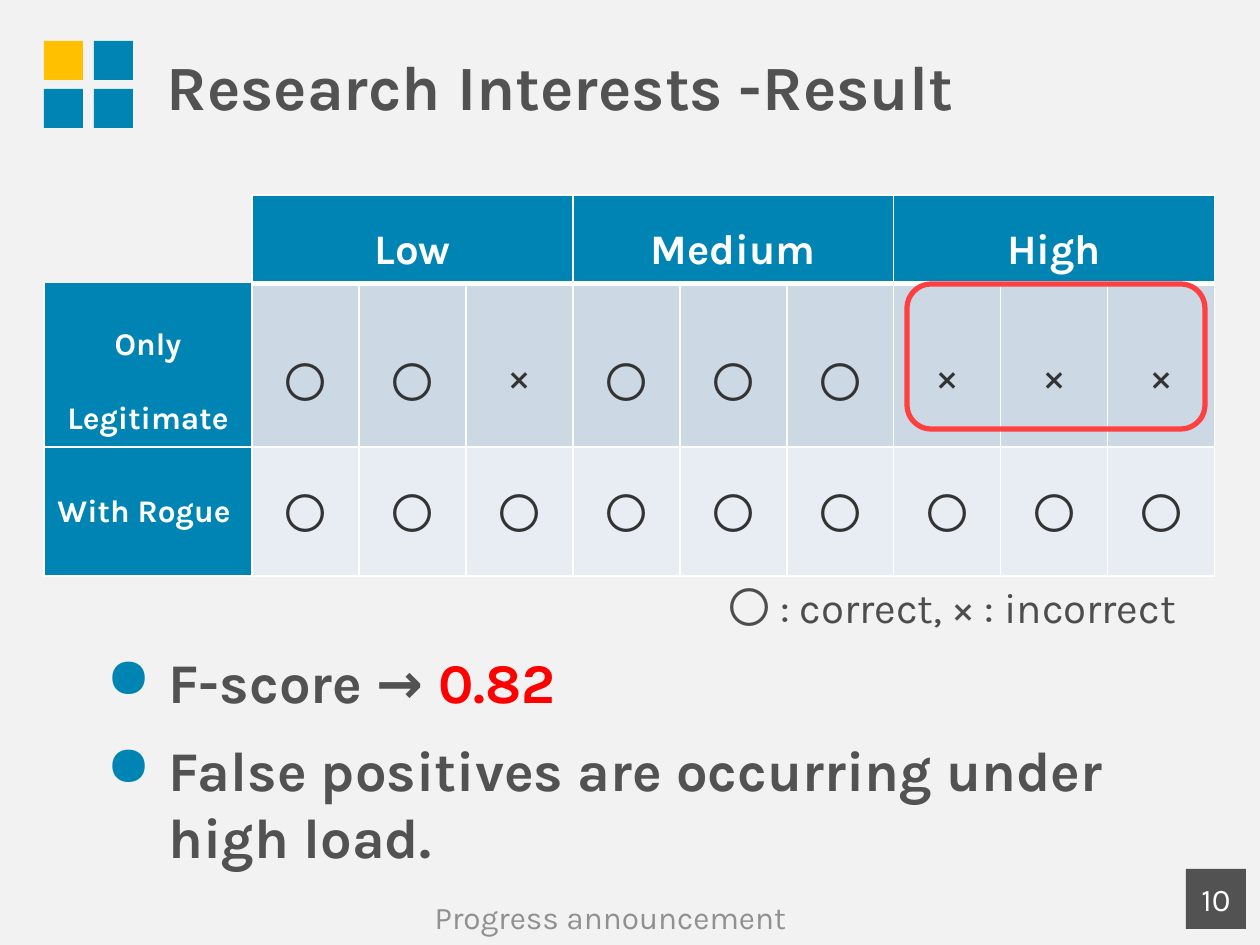
from lxml import etree
from pptx import Presentation
from pptx.dml.color import RGBColor
from pptx.enum.shapes import MSO_SHAPE as SHAPE
from pptx.enum.text import MSO_ANCHOR as ANCHOR, PP_ALIGN as ALIGN
from pptx.oxml.ns import qn
from pptx.util import Emu, Pt

BLUE, AMBER, GREY, WHITE = "0084B4", "FFC000", "525252", "FFFFFF"
FONT = "Karla"
LOADS = ["Low", "Medium", "High"]
RESULTS = [("Only Legitimate", "〇〇×〇〇〇×××"), ("With Rogue ", "〇〇〇〇〇〇〇〇〇")]


def px(n):
    return Emu(round(n * 914400 / 126))


def rgb(color):
    return RGBColor.from_string(color)


def add_run(p, text, size, color, bold=False):
    r = p.add_run()
    r.text = text
    for name, value in {"name": FONT, "size": Pt(size), "bold": bold}.items():
        setattr(r.font, name, value)
    r.font.color.rgb = rgb(color)


def add_box(slide, box, fill=None, line=None, shape=SHAPE.RECTANGLE):
    sp = slide.shapes.add_shape(shape, *map(px, box))
    sp.shadow.inherit = False
    if fill:
        sp.fill.solid()
        sp.fill.fore_color.rgb = rgb(fill)
    else:
        sp.fill.background()
    if line:
        sp.line.color.rgb = rgb(line)
        sp.line.width = Pt(3)
    else:
        sp.line.fill.background()
    return sp


def add_text(slide, box, anchor=ANCHOR.TOP):
    tf = slide.shapes.add_textbox(*map(px, box)).text_frame
    tf.word_wrap = True
    tf.vertical_anchor = anchor
    return tf


def add_squares(slide, left, top):
    for i, color in enumerate([AMBER, BLUE, BLUE, BLUE]):
        row, col = divmod(i, 2)
        add_box(slide, (left + 50 * col, top + 48 * row, 39, 39), color)


def add_title(slide, text, box):
    title = slide.shapes.title
    for name, value in zip(("left", "top", "width", "height"), box):
        setattr(title, name, px(value))
    tf = title.text_frame
    tf.vertical_anchor = ANCHOR.MIDDLE
    p = tf.paragraphs[0]
    p.alignment = ALIGN.LEFT
    add_run(p, text, 36, GREY, True)


def set_borders(cell, widths):
    """Draw white borders; widths maps L, R, T, B to points, 0 for none."""
    tc_pr = cell._tc.get_or_add_tcPr()
    for side, width in widths.items():
        ln = etree.SubElement(tc_pr, qn(f"a:ln{side}"), w=str(Pt(width)))
        if width:
            fill = etree.SubElement(ln, qn("a:solidFill"))
            etree.SubElement(fill, qn("a:srgbClr"), val=WHITE)
        else:
            etree.SubElement(ln, qn("a:noFill"))


def fill_cell(cell, text, fill, size, color, bold, spacing, anchor):
    cell.fill.solid()
    cell.fill.fore_color.rgb = rgb(fill)
    cell.vertical_anchor = anchor
    p = cell.text_frame.paragraphs[0]
    p.alignment = ALIGN.CENTER
    p.line_spacing = spacing
    add_run(p, text, size, color, bold)


def add_results(slide, left, top):
    widths, heights = [208] + [107] * 9, [84, 162, 129]
    frame = slide.shapes.add_table(3, 10, px(left), px(top),
                                   px(sum(widths)), px(sum(heights)))
    table = frame.table
    table.first_row = table.horz_banding = False
    for col, width in zip(table.columns, widths):
        col.width = px(width)
    for row, height in zip(table.rows, heights):
        row.height = px(height)

    for r in range(3):
        for c in range(10):
            sides = dict.fromkeys("LRTB", 1)
            if c:
                sides.update({0: {"B": 3}, 1: {"T": 3}}.get(r, {}))
            elif r == 0:
                sides = dict.fromkeys("LRTB", 0)
            elif r == 1:
                sides["T"] = 0
            set_borders(table.cell(r, c), sides)

    table.cell(0, 0).fill.background()
    for i, load in enumerate(LOADS):
        first = 1 + 3 * i
        table.cell(0, first).merge(table.cell(0, first + 2))
        fill_cell(table.cell(0, first), load, BLUE, 24, WHITE, True, 1.5, ANCHOR.TOP)

    styles = [("CCD9E5", 2.0, 1.5, ANCHOR.TOP), ("E7EDF2", 1.0, 1.0, ANCHOR.MIDDLE)]
    for r, ((label, marks), style) in enumerate(zip(RESULTS, styles), 1):
        fill, label_spacing, mark_spacing, anchor = style
        fill_cell(table.cell(r, 0), label, BLUE, 18, WHITE, True, label_spacing, anchor)
        for c, mark in enumerate(marks, 1):
            fill_cell(table.cell(r, c), mark, fill, 24, "333333", False,
                      mark_spacing, ANCHOR.MIDDLE)


def add_bullets(slide, box, items):
    tf = add_text(slide, box)
    for i, runs in enumerate(items):
        p = tf.add_paragraph() if i else tf.paragraphs[0]
        p.space_before = Pt(12 if i else 0)
        p_pr = p._p.get_or_add_pPr()
        p_pr.set("marL", str(px(62)))
        p_pr.set("indent", str(-px(62)))
        color = etree.SubElement(p_pr, qn("a:buClr"))
        etree.SubElement(color, qn("a:srgbClr"), val=BLUE)
        etree.SubElement(p_pr, qn("a:buChar"), char="●")
        for text, run_color in runs:
            add_run(p, text, 32, run_color, True)


def add_footer(slide, text, number):
    number_box = add_box(slide, (1186, 869, 60, 60), GREY)
    tf = add_text(slide, (44, 892, 1133, 50), ANCHOR.MIDDLE)
    number_tf = number_box.text_frame
    number_tf.vertical_anchor = ANCHOR.MIDDLE
    for frame, label, color in [(tf, text, "909090"), (number_tf, number, WHITE)]:
        p = frame.paragraphs[0]
        p.alignment = ALIGN.CENTER
        add_run(p, label, 18, color)


def main():
    prs = Presentation()
    prs.slide_width, prs.slide_height = px(1260), px(945)
    slide = prs.slides.add_slide(prs.slide_layouts[5])
    slide.background.fill.solid()
    slide.background.fill.fore_color.rgb = rgb("F2F2F2")

    add_squares(slide, 44, 41)
    add_title(slide, "Research Interests -Result", (154, 6, 1106, 158))
    add_bullets(slide, (94, 641, 1153, 251), [
        [("F-score → ", GREY), ("0.82", "FF0000")],
        [("False positives are occurring under high load.", GREY)],
    ])
    add_footer(slide, "Progress announcement", "10")
    add_results(slide, 44, 195)
    legend = add_text(slide, (707, 575, 515, 63))
    add_run(legend.paragraphs[0], " 〇 : correct, × : incorrect", 24, "4D4D4D")
    add_box(slide, (907, 284, 298, 145), line="FF4040", shape=SHAPE.ROUNDED_RECTANGLE)
    prs.save("out.pptx")


if __name__ == "__main__":
    main()
